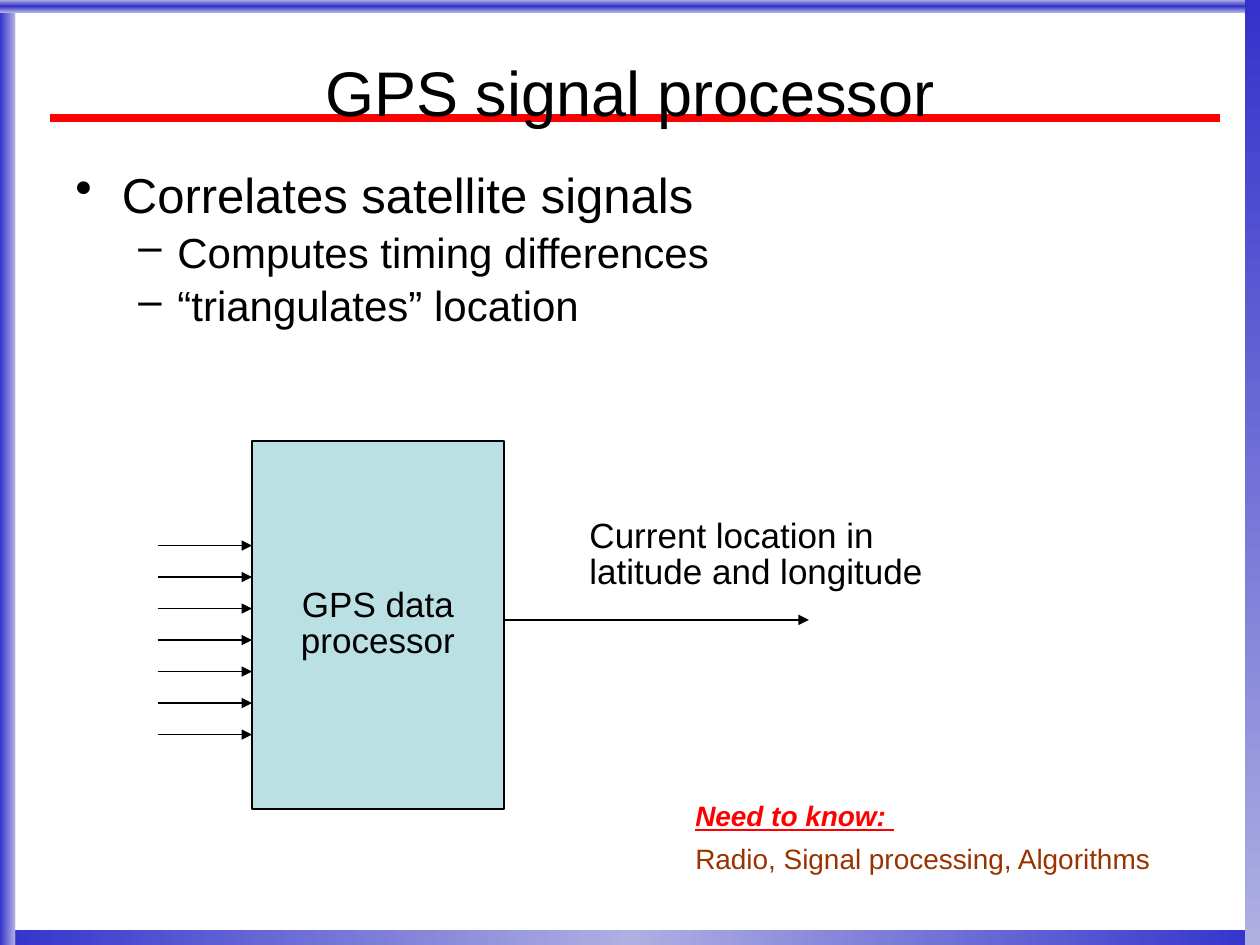
import copy

import pptx
import pptx.dml.color
import pptx.enum.shapes
import pptx.enum.text
import pptx.oxml.ns
import pptx.util
from lxml import etree
from pptx.util import Inches

qn = pptx.oxml.ns.qn
ANCHOR = pptx.enum.text.MSO_ANCHOR
ALIGN = pptx.enum.text.PP_ALIGN
BLUE, PALE_BLUE, RED, BLACK = "3333CC", "AFAFE2", "FF0000", "000000"
BOX_FILL, BROWN = "BBE0E3", "993300"


def rgb(color):
    return pptx.dml.color.RGBColor.from_string(color)


class SlideBuilder:
    font_name = "Arial"
    line_spacing = 0.85
    thin = 0.75

    def __init__(self, slide):
        self.slide = slide

    def rectangle(self, left, top, width, height):
        shape = self.slide.shapes.add_shape(
            pptx.enum.shapes.MSO_SHAPE.RECTANGLE,
            Inches(left), Inches(top), Inches(width), Inches(height))
        shape.shadow.inherit = False
        return shape

    def gradient_bar(self, left, top, width, height, colors, clockwise_angle):
        shape = self.rectangle(left, top, width, height)
        shape.line.fill.background()
        shape.fill.gradient()
        shape.fill.gradient_angle = -clockwise_angle % 360
        stop_list = shape._element.spPr.find(".//" + qn("a:gsLst"))
        while len(stop_list) < len(colors):
            stop_list.append(copy.deepcopy(stop_list[-1]))
        for index, (stop, color) in enumerate(zip(shape.fill.gradient_stops, colors)):
            stop.position = index / (len(colors) - 1)
            stop.color.rgb = rgb(color)

    def box(self, left, top, width, height, text, size):
        shape = self.rectangle(left, top, width, height)
        shape.fill.solid()
        shape.fill.fore_color.rgb = rgb(BOX_FILL)
        shape.line.color.rgb = rgb(BLACK)
        shape.line.width = pptx.util.Pt(self.thin)
        frame = shape.text_frame
        frame.word_wrap = False
        frame.vertical_anchor = ANCHOR.MIDDLE
        self.paragraph(frame, text, size, align=ALIGN.CENTER)

    def line(self, start, end, color=BLACK, width=thin, arrow=False):
        connector = self.slide.shapes.add_connector(
            pptx.enum.shapes.MSO_CONNECTOR.STRAIGHT,
            *(Inches(value) for value in start + end))
        connector.line.color.rgb = rgb(color)
        connector.line.width = pptx.util.Pt(width)
        if arrow:
            etree.SubElement(connector.line._get_or_add_ln(), qn("a:tailEnd"), type="triangle")
        etree.SubElement(connector._element.spPr, qn("a:effectLst"))

    def text_box(self, left, top, width, height, anchor=ANCHOR.TOP):
        frame = self.slide.shapes.add_textbox(
            Inches(left), Inches(top), Inches(width), Inches(height)).text_frame
        frame.word_wrap = True
        frame.vertical_anchor = anchor
        return frame

    def paragraph(self, frame, text, size, color=BLACK, align=ALIGN.LEFT,
                  before=0, bullet=None, level=0, margin=0, hanging=0, emphasis=False):
        paragraph = frame.paragraphs[0]
        if paragraph.runs:
            paragraph = frame.add_paragraph()
        paragraph.alignment = align
        paragraph.level = level
        paragraph.line_spacing = self.line_spacing
        paragraph.space_before = pptx.util.Pt(before)
        if bullet:
            properties = paragraph._p.get_or_add_pPr()
            properties.set("marL", str(Inches(margin)))
            properties.set("indent", str(-Inches(hanging)))
            etree.SubElement(properties, qn("a:buChar"), char=bullet)
        for index, part in enumerate(text.split("\n")):
            if index:
                paragraph.add_line_break()
            run = paragraph.add_run()
            run.text = part
            run.font.name = self.font_name
            run.font.size = pptx.util.Pt(size)
            run.font.color.rgb = rgb(color)
            run.font.bold = run.font.italic = run.font.underline = emphasis


def main():
    presentation = pptx.Presentation()
    presentation.slide_width, presentation.slide_height = Inches(10), Inches(7.5)
    builder = SlideBuilder(presentation.slides.add_slide(presentation.slide_layouts[6]))

    # Frame and title rule
    builder.gradient_bar(0, 7.38, 10, 0.12, [BLUE, PALE_BLUE, BLUE], 0)
    builder.gradient_bar(0, 0, 0.12, 7.5, [BLUE, PALE_BLUE], 0)
    builder.gradient_bar(0, 0, 10, 0.1, [PALE_BLUE, BLUE, PALE_BLUE], 90)
    builder.gradient_bar(9.88, 0, 0.12, 7.5, [BLUE, PALE_BLUE], 90)
    builder.line((0.4, 0.94), (9.68, 0.94), RED, 4.5)

    # Title
    title = builder.text_box(0.5, 0.3, 9, 0.95, ANCHOR.MIDDLE)
    builder.paragraph(title, "GPS signal processor", 36, align=ALIGN.CENTER)

    # Bullets
    body = builder.text_box(0.5, 1.33, 9, 5.37)
    builder.paragraph(body, "Correlates satellite signals", 28,
                      bullet="•", margin=0.37, hanging=0.37)
    for text in ("Computes timing differences", "“triangulates” location"):
        builder.paragraph(body, text, 24, before=6, bullet="–",
                          level=1, margin=0.81, hanging=0.31)

    # Processor with satellite inputs and location output
    for index in range(7):
        y = 4.33 + 0.25 * index
        builder.line((1.25, y), (2, y), arrow=True)
    builder.box(2, 3.5, 2, 2.92, "GPS data\nprocessor", 20)
    builder.line((4, 4.92), (6.42, 4.92), arrow=True)
    output = builder.text_box(4.58, 4.08, 3.75, 0.7)
    builder.paragraph(output, "Current location in \nlatitude and longitude", 20)

    # Required knowledge
    knowledge = builder.text_box(5.42, 6.33, 4.17, 0.64)
    builder.paragraph(knowledge, "Need to know: ", 16, RED, emphasis=True)
    builder.paragraph(knowledge, "Radio, Signal processing, Algorithms", 16, BROWN, before=8)

    presentation.save("out.pptx")


if __name__ == "__main__":
    main()
